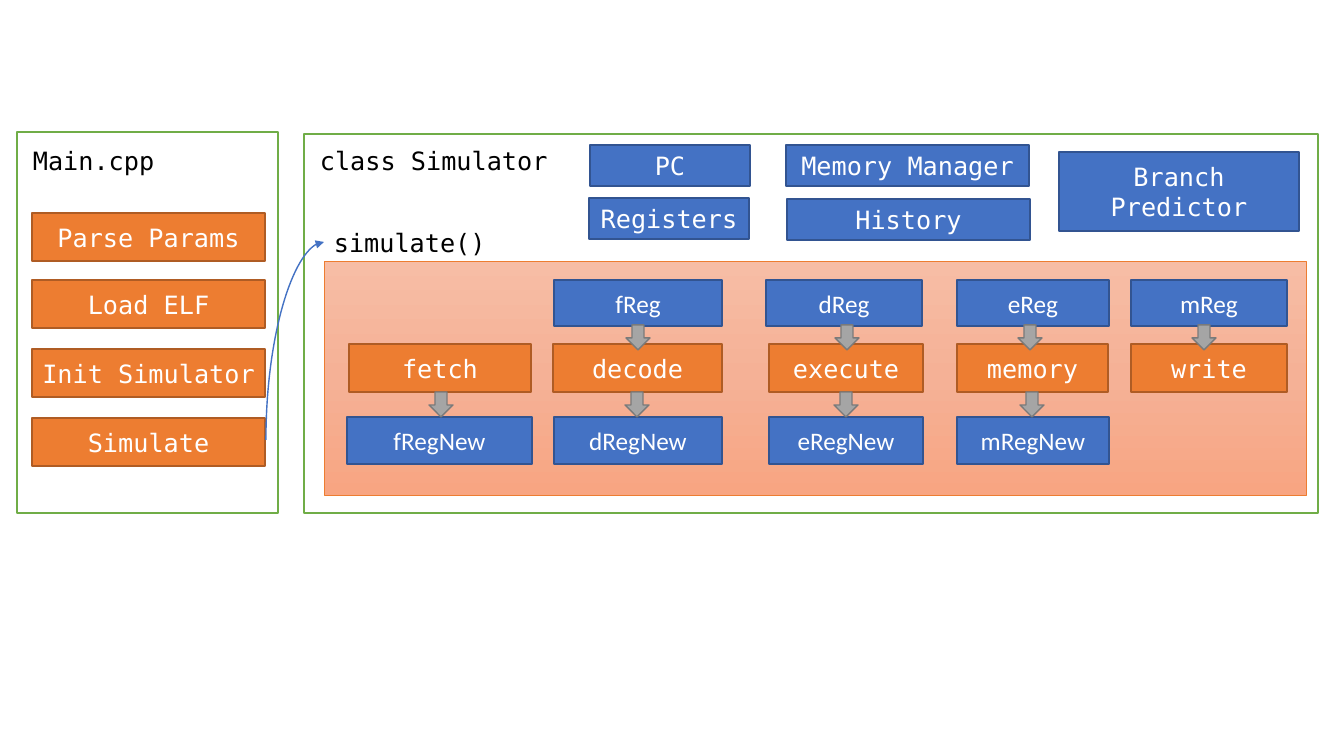
from copy import deepcopy
from pptx import Presentation
from pptx.dml.color import RGBColor
from pptx.enum.shapes import MSO_CONNECTOR as Link, MSO_SHAPE as Kind
from pptx.enum.text import MSO_ANCHOR as Anchor, PP_ALIGN as Align
from pptx.oxml.ns import qn
from pptx.util import Pt
from lxml.etree import SubElement

PX = 914400 / 100.8
WHITE = RGBColor(255, 255, 255)
BLACK = RGBColor(0, 0, 0)
GREEN = RGBColor(0x70, 0xAD, 0x47)
BLUE = RGBColor(0x44, 0x72, 0xC4)
NAVY = RGBColor(0x32, 0x54, 0x91)
ORANGE = RGBColor(0xED, 0x7D, 0x31)
BROWN = RGBColor(0xAF, 0x5C, 0x24)
GREY = RGBColor(0xA5, 0xA5, 0xA5)
DARK = RGBColor(0x7A, 0x7A, 0x7A)
FADE = [(0, RGBColor(0xF7, 0xBD, 0xA5)), (0.5, RGBColor(0xF5, 0xB1, 0x96)),
        (1, RGBColor(0xF8, 0xA5, 0x82))]
MONO, SANS = "DejaVu Sans Mono", "Calibri"

deck = Presentation()
deck.slide_width, deck.slide_height = round(1344 * PX), round(756 * PX)
slide = deck.slides.add_slide(deck.slide_layouts[6])
shapes = slide.shapes


def write(shape, text, color, face=MONO, align=Align.CENTER, anchor=Anchor.MIDDLE):
    frame = shape.text_frame
    frame.word_wrap, frame.vertical_anchor = True, anchor
    para = frame.paragraphs[0]
    para.text, para.alignment = text, align
    for key, val in {"name": face, "size": Pt(18)}.items():
        setattr(para.font, key, val)
    para.font.color.rgb = color


def box(area, fill, edge, text="", face=MONO, kind=Kind.RECTANGLE):
    shape = shapes.add_shape(kind, *[round(n * PX) for n in area])
    shape.shadow.inherit = False
    shape.fill.solid()
    shape.fill.fore_color.rgb = fill
    shape.line.color.rgb = edge
    shape.line.width = Pt(1)
    if text:
        write(shape, text, WHITE, face)
    return shape


# Frames of the program and the class
box((17, 132, 261, 381), WHITE, GREEN)
box((304, 134, 1014, 379), WHITE, GREEN)

# Pipeline panel with its gradient
panel = box((324, 261, 982, 234), WHITE, ORANGE)
panel.line.width = Pt(0.5)
panel.fill.gradient()
panel.fill.gradient_angle = 270
first = panel.fill.gradient_stops[0]
stops = panel._element.spPr.find(qn("a:gradFill")).find(qn("a:gsLst"))
stops.append(deepcopy(stops[0]))
for stop, (pos, color) in zip(panel.fill.gradient_stops, FADE):
    stop.position, stop.color.rgb = pos, color

# Headings
for x, y, text in [(23, 140, "Main.cpp"), (310, 140, "class Simulator"),
                   (324, 222, "simulate()")]:
    label = shapes.add_textbox(*[round(n * PX) for n in (x, y, 304, 41)])
    write(label, text, BLACK, align=Align.LEFT, anchor=Anchor.TOP)

# Steps of the main program
for y, text in [(213, "Parse Params"), (280, "Load ELF"),
                (349, "Init Simulator"), (418, "Simulate")]:
    box((32, y, 233, 48), ORANGE, BROWN, text)

# Members of the class
for *area, text in [(590, 145, 160, 41, "PC"), (589, 198, 160, 41, "Registers"),
                    (786, 145, 243, 41, "Memory Manager"),
                    (787, 199, 243, 41, "History"),
                    (1059, 152, 240, 79, "Branch Predictor")]:
    box(area, BLUE, NAVY, text)

# Pipeline rows: top, height, colours, font and (left, width, text) cells
ROWS = [
    (280, 46, BLUE, NAVY, SANS, [(554, 168, "fReg"), (766, 156, "dReg"),
                                 (957, 152, "eReg"), (1131, 156, "mReg")]),
    (344, 48, ORANGE, BROWN, MONO, [(349, 182, "fetch"), (553, 169, "decode"),
                                    (769, 154, "execute"), (957, 151, "memory"),
                                    (1131, 156, "write")]),
    (417, 47, BLUE, NAVY, SANS, [(347, 185, "fRegNew"), (554, 168, "dRegNew"),
                                 (769, 154, "eRegNew"), (957, 152, "mRegNew")]),
]
for y, high, fill, edge, face, cells in ROWS:
    for x, wide, text in cells:
        box((x, y, wide, high), fill, edge, text, face)

# Arrows between the rows
for y, lefts in [(325, (626, 835, 1018, 1192)), (392, (429, 625, 834, 1020))]:
    for x in lefts:
        box((x, y, 24, 25), GREY, DARK, kind=Kind.DOWN_ARROW)

# Curved call from Simulate to simulate(), turned a quarter
call = shapes.add_connector(Link.CURVE, *[round(n * PX) for n in (394, 370, 196, 312)])
call.line.color.rgb = BLUE
call.line.width = Pt(1)
props = call._element.spPr
props.find(qn("a:xfrm")).set("rot", "5400000")
props.find(qn("a:prstGeom")).set("prst", "curvedConnector2")
SubElement(props.find(qn("a:ln")), qn("a:tailEnd")).set("type", "triangle")
SubElement(props, qn("a:effectLst"))

deck.save("out.pptx")
